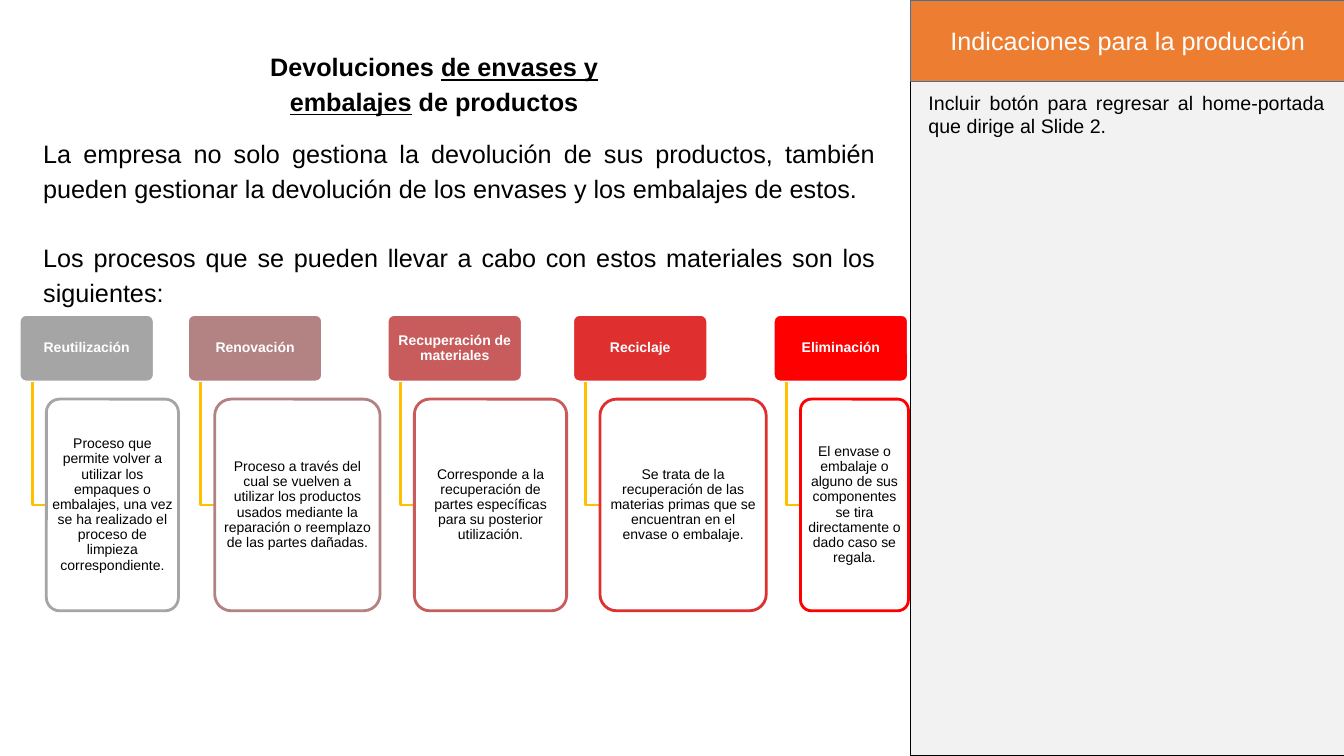
from lxml import etree
from pptx import Presentation, util as u
from pptx.dml.color import RGBColor
from pptx.enum import shapes, text
from pptx.oxml.ns import qn

PX = 9144  # 100 px to the inch
CENTER, JUSTIFY = text.PP_ALIGN.CENTER, text.PP_ALIGN.JUSTIFY
TOP, MIDDLE = text.MSO_ANCHOR.TOP, text.MSO_ANCHOR.MIDDLE
RECT = shapes.MSO_SHAPE.RECTANGLE
ROUNDED = shapes.MSO_SHAPE.ROUNDED_RECTANGLE
BLACK, WHITE, GOLD = "000000", "FFFFFF", "FFC000"

HEADER_TOP, HEADER_WIDTH, HEADER_HEIGHT = 312, 134, 67
BODY_TOP, BODY_HEIGHT = 396, 210
BODY_INDENT, ELBOW_INDENT = 27, 13

# Left edge, body width, colour, heading, description
PROCESSES = [
    (19, 131, "A5A5A5", "Reutilización",
     "Proceso que permite volver a utilizar los empaques o embalajes, una vez "
     "se ha realizado el proceso de limpieza correspondiente."),
    (186, 164, "B38282", "Renovación",
     "Proceso a través del cual se vuelven a utilizar los productos usados "
     "mediante la reparación o reemplazo de las partes dañadas."),
    (384, 151, "C85B5B", "Recuperación de materiales",
     "Corresponde a la recuperación de partes específicas para su posterior "
     "utilización."),
    (568, 165, "E02F2F", "Reciclaje",
     "Se trata de la recuperación de las materias primas que se encuentran en "
     "el envase o embalaje."),
    (767, 107, "FE0000", "Eliminación",
     "El envase o embalaje o alguno de sus componentes se tira directamente o "
     "dado caso se regala."),
]


def color(value):
    return RGBColor.from_string(value)


class SlideBuilder:
    font = "Arial"

    def __init__(self, slide):
        self.slide = slide

    def box(self, kind, left, top, width, height, fill, line, line_width=1, opacity=100):
        shape = self.slide.shapes.add_shape(
            kind, left * PX, top * PX, width * PX, height * PX)
        shape.shadow.inherit = False
        if kind == ROUNDED:
            shape.adjustments[0] = 0.1
        shape.fill.solid()
        shape.fill.fore_color.rgb = color(fill)
        if opacity < 100:
            fill_color = shape._element.spPr.find(qn("a:solidFill"))[0]
            etree.SubElement(fill_color, qn("a:alpha"), val=str(opacity * 1000))
        shape.line.color.rgb = color(line)
        shape.line.width = u.Pt(line_width)
        return shape

    def text_box(self, left, top, width, height):
        return self.slide.shapes.add_textbox(
            left * PX, top * PX, width * PX, height * PX)

    def put_text(self, shape, paragraphs, size, ink=BLACK, bold=False, align=CENTER,
                 anchor=TOP, spacing=1.0, gap=0, insets=(10, 5)):
        """Each paragraph is a list of (wording, underlined) runs."""
        frame = shape.text_frame
        frame.word_wrap = True
        frame.vertical_anchor = anchor
        frame.margin_left = frame.margin_right = insets[0] * PX
        frame.margin_top = frame.margin_bottom = insets[1] * PX
        for index, runs in enumerate(paragraphs):
            paragraph = frame.add_paragraph() if index else frame.paragraphs[0]
            paragraph.alignment = align
            paragraph.line_spacing = spacing
            if index:
                paragraph.space_before = u.Pt(gap)
            for wording, underlined in runs:
                run = paragraph.add_run()
                run.text = wording
                run.font.name = self.font
                run.font.size = u.Pt(size)
                run.font.bold = bold
                run.font.underline = underlined
                run.font.color.rgb = color(ink)

    def elbow(self, left, top, right, bottom):
        builder = self.slide.shapes.build_freeform(left, top, scale=PX)
        builder.add_line_segments([(left, bottom), (right, bottom)], close=False)
        shape = builder.convert_to_shape()
        shape.shadow.inherit = False
        shape.fill.background()
        shape.line.color.rgb = color(GOLD)
        shape.line.width = u.Pt(2)

    def process(self, left, body_width, tint, heading, description):
        label = {"size": 10, "anchor": MIDDLE, "spacing": 0.9, "insets": (2, 1)}
        header = self.box(ROUNDED, left, HEADER_TOP, HEADER_WIDTH, HEADER_HEIGHT,
                          tint, WHITE, 2)
        self.put_text(header, [[(heading, False)]], ink=WHITE, bold=True, **label)
        body_left = left + BODY_INDENT
        self.elbow(left + ELBOW_INDENT, HEADER_TOP + HEADER_HEIGHT,
                   body_left, BODY_TOP + BODY_HEIGHT // 2)
        body = self.box(ROUNDED, body_left, BODY_TOP, body_width, BODY_HEIGHT,
                        WHITE, tint, 2, opacity=90)
        self.put_text(body, [[(description, False)]], **label)


def main():
    presentation = Presentation()
    presentation.slide_width = 1333 * PX
    presentation.slide_height = 750 * PX
    page = SlideBuilder(presentation.slides.add_slide(presentation.slide_layouts[6]))

    # Production notes panel
    page.box(RECT, 903, 0, 431, 750, "F2F2F2", BLACK)
    page.put_text(page.text_box(911, 85, 413, 402),
                  [[("Incluir botón para regresar al home-portada que dirige al Slide 2.",
                     False)]], 14, align=JUSTIFY)
    banner = page.box(RECT, 903, 0, 431, 81, "ED7D31", "42719B")
    page.put_text(banner, [[("Indicaciones para la producción", False)]], 18,
                  ink=WHITE, anchor=MIDDLE)

    # Title and introduction
    page.put_text(page.text_box(235, 42, 391, 80),
                  [[("Devoluciones ", False), ("de envases y", True), (" ", False),
                    ("embalajes", True), (" de productos", False)]],
                  18, bold=True, spacing=1.15)
    page.put_text(page.text_box(33, 128, 845, 181),
                  [[("La empresa no solo gestiona la devolución de sus productos, también "
                     "pueden gestionar la devolución de los envases y los embalajes de "
                     "estos.", False)],
                   [("Los procesos que se pueden llevar a cabo con estos materiales son "
                     "los siguientes:", False)]],
                  18, align=JUSTIFY, spacing=1.15, gap=24.5)

    # Five processes
    for process in PROCESSES:
        page.process(*process)

    presentation.save("out.pptx")


if __name__ == "__main__":
    main()
